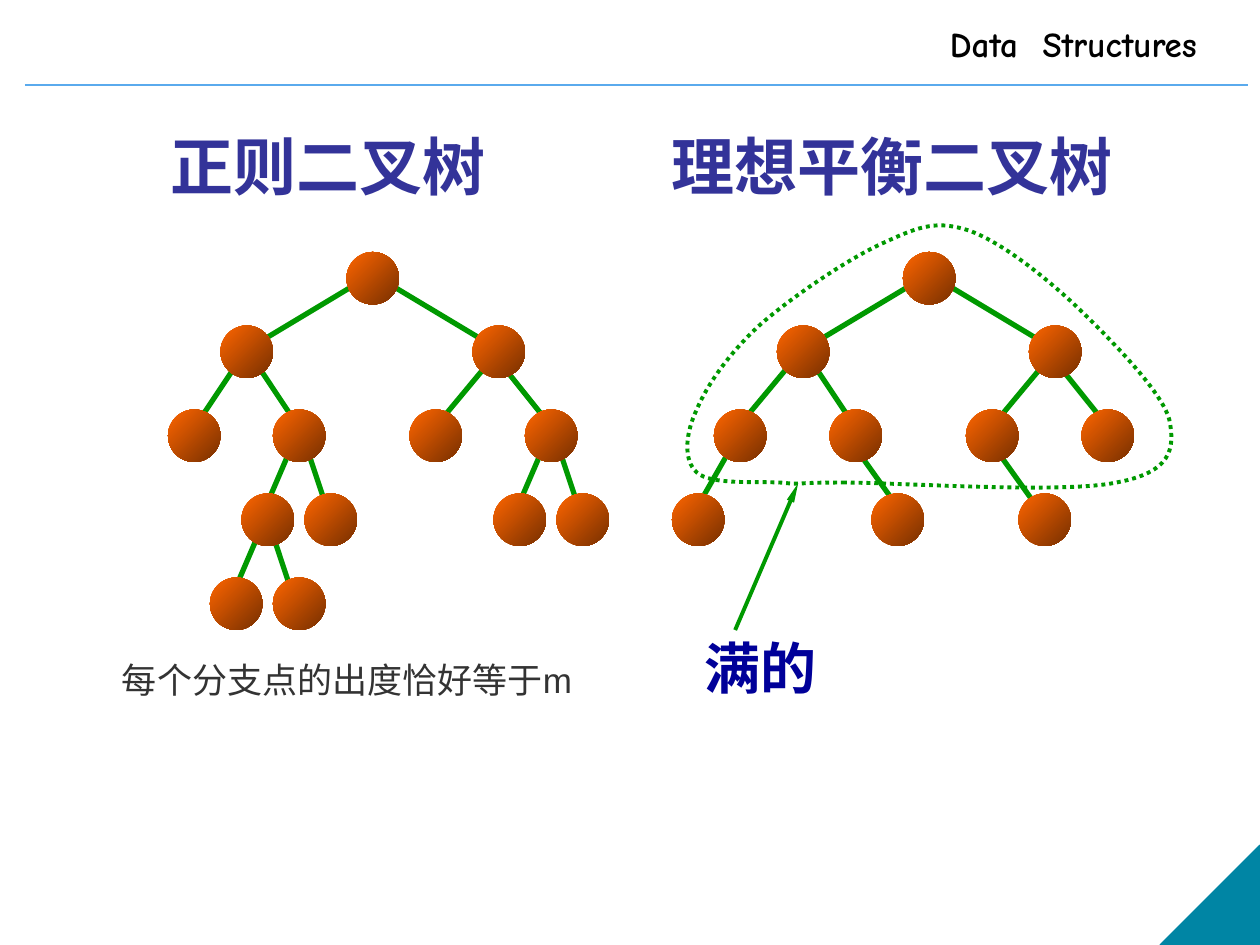
from lxml.etree import SubElement
from pptx import Presentation
from pptx.dml.color import RGBColor
from pptx.enum.dml import MSO_LINE
from pptx.enum.shapes import MSO_CONNECTOR, MSO_SHAPE
from pptx.enum.text import MSO_ANCHOR, MSO_AUTO_SIZE, PP_ALIGN
from pptx.oxml.ns import qn
from pptx.util import Cm, Pt

BLACK = RGBColor(0x00, 0x00, 0x00)
GREEN = RGBColor(0x00, 0x99, 0x00)
ORANGE = RGBColor(0xFF, 0x66, 0x00)
BROWN = RGBColor(0x76, 0x2F, 0x00)
INDIGO = RGBColor(0x33, 0x33, 0x99)
NAVY = RGBColor(0x00, 0x00, 0x99)
GRAY = RGBColor(0x33, 0x33, 0x33)
SKY = RGBColor(0x5A, 0xAA, 0xED)
TEAL = RGBColor(0x00, 0x85, 0xA4)

INCH = 2.54
GRID = INCH / 12  # the trees sit on a grid of twelve steps to the inch
NODE_SIZE = 5  # grid steps

# Left edges of the nodes, by the top of their level
LEVELS = {
    24: [33, 86],
    31: [21, 45, 74, 98],
    39: [16, 26, 39, 50, 68, 79, 92, 103],
    47: [23, 29, 47, 53, 64, 83, 97],
    55: [20, 26],
}
# Branches as x1, y1, x2, y2 in grid steps
REGULAR_BRANCHES = [
    (34, 27, 24, 33), (37, 27, 47, 33),
    (23, 34, 19, 40), (24, 34, 28, 40), (47, 34, 42, 40), (48, 35, 52, 40),
    (28, 42, 25, 49), (29, 42, 31, 48), (52, 42, 49, 49), (53, 42, 55, 48),
    (25, 50, 22, 57), (26, 51, 28, 57),
]
BALANCED_BRANCHES = [
    (87, 27, 77, 33), (90, 27, 100, 33),
    (75, 35, 70, 41), (77, 34, 81, 40), (100, 34, 95, 40), (101, 35, 105, 40),
    (70, 42, 66, 49), (81, 42, 86, 49), (95, 43, 100, 50),
]
# Bezier outline of the full part, in inches: two handles and an end per curve, closed
FULL_CURVES = [
    (7.14, 3.83), (8.43, 3.92), (8.86, 3.83),
    (9.29, 3.75), (9.33, 3.57), (9.28, 3.33),
    (9.22, 3.10), (8.79, 2.67), (8.53, 2.42),
    (8.26, 2.17), (7.94, 1.92), (7.69, 1.83),
    (7.44, 1.75), (7.31, 1.79), (7.03, 1.92),
    (6.75, 2.04), (6.28, 2.36), (6.03, 2.58),
    (5.78, 2.81), (5.61, 3.06), (5.53, 3.25),
    (5.44, 3.44), (5.42, 3.65), (5.53, 3.75),
    (5.64, 3.85), (5.99, 3.82), (6.19, 3.83),
    (6.40, 3.85), (6.25, 3.83), (6.69, 3.83),
]

prs = Presentation()
prs.slide_width, prs.slide_height = Cm(25.4), Cm(19.05)
slide = prs.slides.add_slide(prs.slide_layouts[5])
shapes = slide.shapes


def add_line(x1, y1, x2, y2, color, width):
    """Add a straight line without shadow, with its ends in centimetres."""
    line = shapes.add_connector(MSO_CONNECTOR.STRAIGHT, Cm(x1), Cm(y1), Cm(x2), Cm(y2))
    line.line.color.rgb = color
    line.line.width = Pt(width)
    SubElement(line._element.spPr, qn("a:effectLst"))
    return line


def fill_text(holder, text, font_name, size, color, bold=False, tab=None):
    """Write one paragraph, with an optional tab stop in centimetres."""
    frame = holder.text_frame
    frame.word_wrap = True
    frame.auto_size = MSO_AUTO_SIZE.SHAPE_TO_FIT_TEXT
    frame.vertical_anchor = MSO_ANCHOR.TOP
    paragraph = frame.paragraphs[0]
    paragraph.text = text
    paragraph.alignment = PP_ALIGN.LEFT
    if tab:
        tabs = SubElement(paragraph._p.get_or_add_pPr(), qn("a:tabLst"))
        SubElement(tabs, qn("a:tab"), pos=str(Cm(tab)), algn="l")
    font = paragraph.font
    font.name, font.size, font.bold = font_name, Pt(size), bold
    font.color.rgb = color
    return paragraph


# Header and corner
add_line(0.5, 1.72, 25.15, 1.72, SKY, 1)
corner = shapes.add_shape(MSO_SHAPE.RIGHT_TRIANGLE, Cm(23.39), Cm(17.04), Cm(2.01), Cm(2.01))
corner.shadow.inherit = False
corner.fill.solid()
corner.fill.fore_color.rgb = TEAL
corner.line.color.rgb = TEAL
corner.line.width = Pt(0.75)
corner._element.spPr.xfrm.set("flipH", "1")
course = shapes.add_textbox(Cm(18.9), Cm(0.33), Cm(6.5), Cm(1.1))
fill_text(course, "Data\tStructures", "Comic Neue", 20, BLACK, bold=True, tab=1.87)

# Headings of both trees
title = shapes.title
title.left, title.top, title.width, title.height = Cm(3.19), Cm(2.22), Cm(20.52), Cm(2)
headings = fill_text(title, "正则二叉树\t理想平衡二叉树", "Noto Sans CJK JP", 36, INDIGO,
                     bold=True, tab=10.09)
headings.line_spacing = 1.15

# Trees: branches below, nodes on top
for branch in REGULAR_BRANCHES + BALANCED_BRANCHES:
    add_line(*(step * GRID for step in branch), GREEN, 3)
for top, lefts in LEVELS.items():
    for left in lefts:
        node = shapes.add_shape(MSO_SHAPE.OVAL, Cm(left * GRID), Cm(top * GRID),
                                Cm(NODE_SIZE * GRID), Cm(NODE_SIZE * GRID))
        node.shadow.inherit = False
        node.line.fill.background()
        node.fill.gradient()
        node.fill.gradient_angle = 315
        for stop, color in zip(node.fill.gradient_stops, (ORANGE, BROWN)):
            stop.color.rgb = color

# Dotted outline around the full levels; each three line segments become one curve
outline_points = [(Cm(x * INCH), Cm(y * INCH)) for x, y in FULL_CURVES]
builder = shapes.build_freeform(*outline_points[-1])
builder.add_line_segments(outline_points, close=True)
full_part = builder.convert_to_shape()
outline = next(full_part._element.iter(qn("a:path")))
segments = outline.findall(qn("a:lnTo"))
for first in range(0, len(segments), 3):
    curve = SubElement(outline, qn("a:cubicBezTo"))
    for segment in segments[first:first + 3]:
        curve.append(segment[0])
        outline.remove(segment)
outline.append(outline.find(qn("a:close")))
full_part.shadow.inherit = False
full_part.fill.background()
full_part.line.color.rgb = GREEN
full_part.line.width = Pt(2.25)
full_part.line.dash_style = MSO_LINE.ROUND_DOT

# Labels
pointer = add_line(14.82, 12.7, 16.09, 9.74, GREEN, 2.25)
SubElement(pointer.line._get_or_add_ln(), qn("a:tailEnd"), type="triangle", w="sm", len="lg")
full_label = shapes.add_textbox(Cm(13.94), Cm(12.65), Cm(2.8), Cm(1.6))
full_text = fill_text(full_label, "满的", "Times New Roman", 32, NAVY, bold=True)
full_text.alignment = PP_ALIGN.CENTER
full_label.text_frame.word_wrap = False
full_label.text_frame.vertical_anchor = MSO_ANCHOR.MIDDLE
degree_note = shapes.add_textbox(Cm(2.21), Cm(13.14), Cm(9.73), Cm(1.12))
fill_text(degree_note, "每个分支点的出度恰好等于m", "Arial", 20, GRAY)

prs.save("out.pptx")
